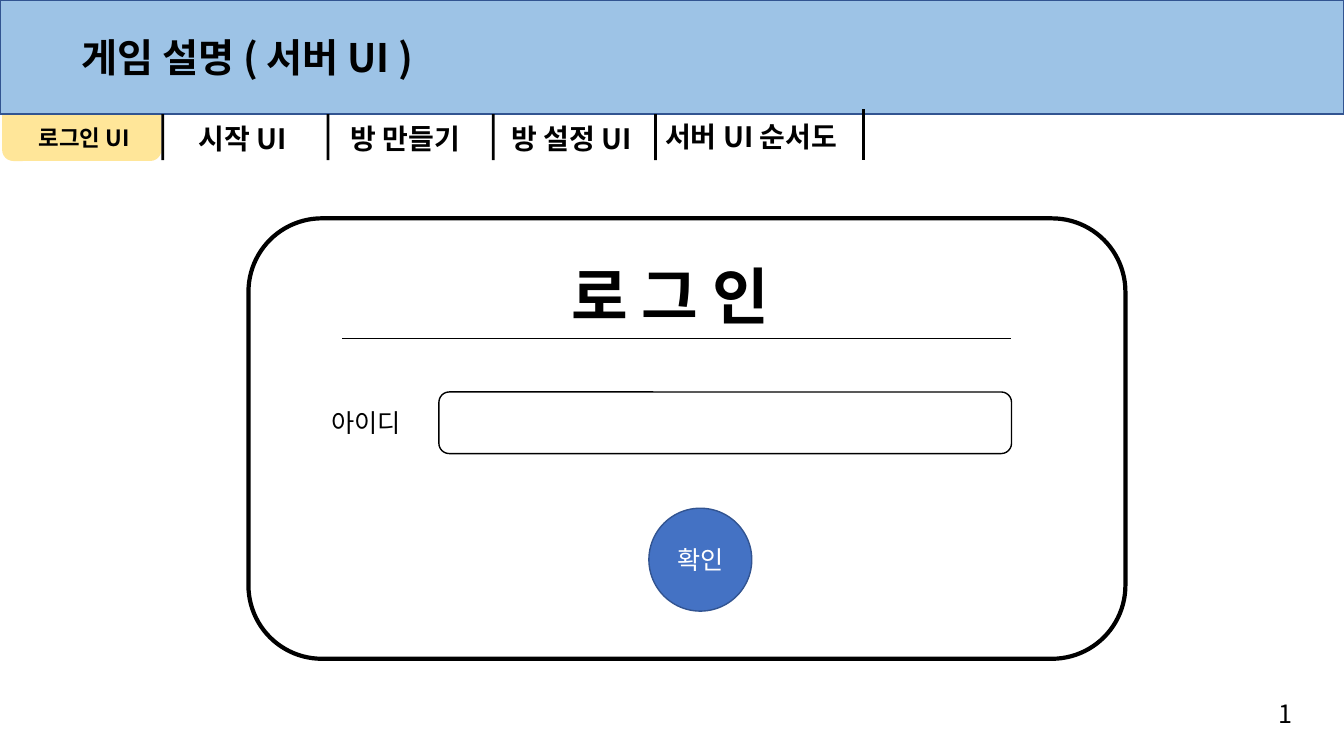
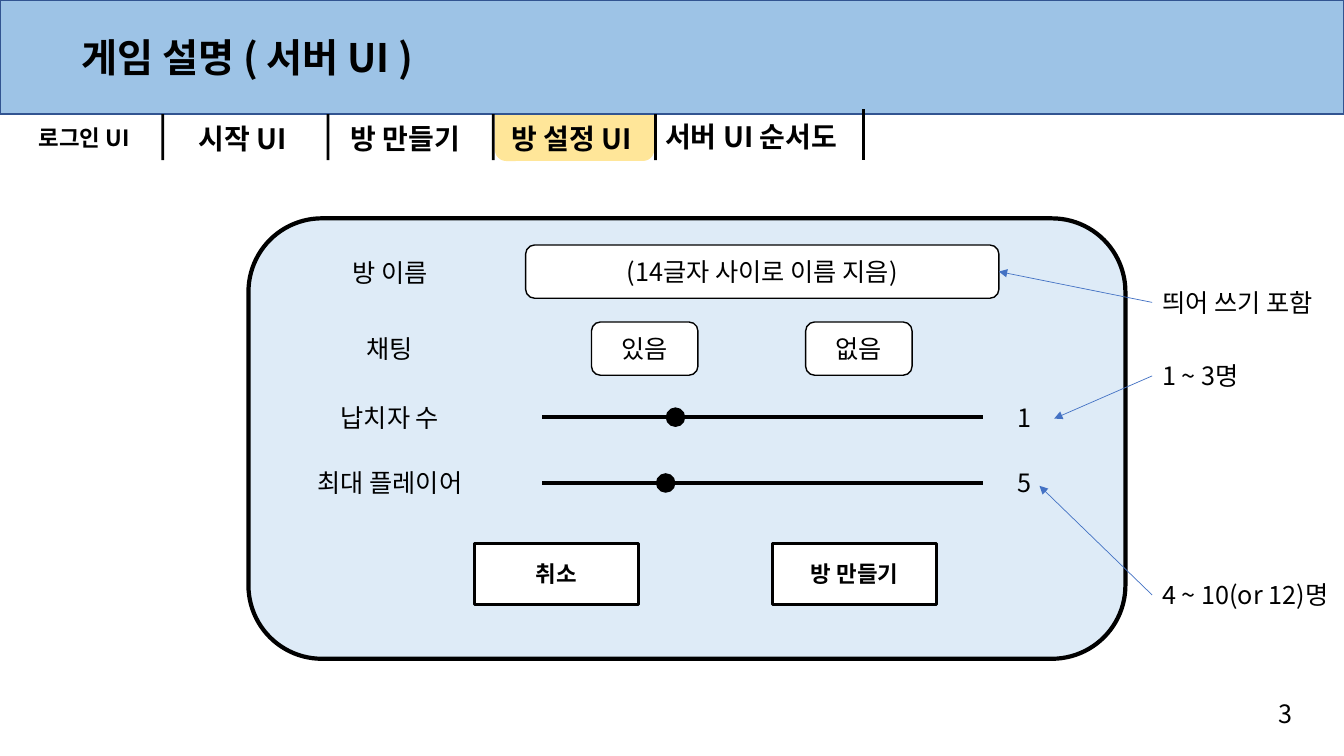
from lxml import etree
from pptx import Presentation
from pptx.dml.color import RGBColor
from pptx.enum import shapes, text
from pptx.oxml.ns import qn
from pptx.util import Pt

FONT = "Noto Sans CJK KR"
BLACK = RGBColor(0x00, 0x00, 0x00)
WHITE = RGBColor(0xFF, 0xFF, 0xFF)
BAND_BLUE = RGBColor(0x9D, 0xC3, 0xE6)
EDGE_BLUE = RGBColor(0x32, 0x54, 0x91)
ACCENT_BLUE = RGBColor(0x44, 0x72, 0xC4)
PALE_BLUE = RGBColor(0xDE, 0xEB, 0xF7)
TAB_YELLOW = RGBColor(0xFF, 0xE6, 0x99)

RECT = shapes.MSO_SHAPE.RECTANGLE
ROUNDED = shapes.MSO_SHAPE.ROUNDED_RECTANGLE
OVAL = shapes.MSO_SHAPE.OVAL
CENTER = text.PP_ALIGN.CENTER
LEFT = text.PP_ALIGN.LEFT

SLIDE_W, SLIDE_H = 960, 540
BAND_H = 81.5
PANEL = (177.5, 156, 626.4, 314.6)
LINE_H = 29
TITLE = "게임 설명 ( 서버 UI )"
# label, left, top, width, size, alignment
TABS = [
    ("로그인 UI", 11, 85, 98.5, 16, CENTER),
    ("시작 UI", 134.5, 83.5, 90, 20, LEFT),
    ("방 만들기", 243.5, 83.5, 131, 20, LEFT),
    ("방 설정 UI", 358.5, 83.5, 112, 20, LEFT),
    ("서버 UI 순서도", 468, 82, 160, 20, LEFT),
]
TAB_STARTS = [1.5, 117.5, 235.5, 353.5]
DIVIDERS = [115.2, 233.3, 351.4, 467.3]
LAST_DIVIDER = 617


def write(frame, words, size, color=BLACK, bold=False, align=LEFT):
    frame.word_wrap = True
    paragraph = frame.paragraphs[0]
    paragraph.text = words
    paragraph.alignment = align
    font = paragraph.font
    font.size, font.bold, font.name = Pt(size), bold, FONT
    font.color.rgb = color
    properties = paragraph._p.pPr.find(qn("a:defRPr"))
    etree.SubElement(properties, qn("a:ea")).set("typeface", FONT)


def add_label(slide, words, x, y, w, h=LINE_H, size=18, bold=False, align=LEFT):
    label = slide.shapes.add_textbox(Pt(x), Pt(y), Pt(w), Pt(h))
    write(label.text_frame, words, size, bold=bold, align=align)
    return label


def add_block(slide, kind, x, y, w, h, fill, edge=None, weight=1,
              words=None, size=18, color=BLACK, bold=False):
    block = slide.shapes.add_shape(kind, Pt(x), Pt(y), Pt(w), Pt(h))
    block.shadow.inherit = False
    block.fill.solid()
    block.fill.fore_color.rgb = fill
    if edge is None:
        block.line.fill.background()
    else:
        block.line.color.rgb = edge
        block.line.width = Pt(weight)
    if words:
        block.text_frame.vertical_anchor = text.MSO_ANCHOR.MIDDLE
        write(block.text_frame, words, size, color, bold, CENTER)
    return block


def add_line(slide, x1, y1, x2, y2, weight, color=BLACK, arrow=False):
    line = slide.shapes.add_connector(
        shapes.MSO_CONNECTOR.STRAIGHT, Pt(x1), Pt(y1), Pt(x2), Pt(y2))
    line.line.color.rgb = color
    line.line.width = Pt(weight)
    if arrow:
        etree.SubElement(line.line._get_or_add_ln(), qn("a:tailEnd")).set("type", "triangle")
    etree.SubElement(line._element.spPr, qn("a:effectLst"))
    return line


def add_frame(slide, active_tab, page):
    """Title band, tab bar with one tab lit, and page number."""
    add_block(slide, ROUNDED, TAB_STARTS[active_tab], 67, 113.8, 48, TAB_YELLOW)
    add_block(slide, RECT, 0, 0, SLIDE_W, BAND_H, BAND_BLUE, EDGE_BLUE)
    add_label(slide, TITLE, 51, 20, 333, 41, size=28, bold=True)
    for x in DIVIDERS:
        add_block(slide, RECT, x, BAND_H, 2, 33, BLACK)
    add_line(slide, LAST_DIVIDER, 78, LAST_DIVIDER, 114, 2.25)
    for words, x, y, w, size, align in TABS:
        add_label(slide, words, x, y, w, 32, size, True, align)
    add_label(slide, page, 906.5, 495.5, 24.5)


def add_panel(slide, box, fill):
    add_block(slide, ROUNDED, *box, fill, BLACK, 3)


def add_login(slide, box):
    left, top = box[:2]
    add_panel(slide, box, WHITE)
    add_label(slide, "로 그 인", left + 223.5, top + 25, 180, 60, size=44, bold=True)
    add_line(slide, left + 67, top + 85.5, left + 545, top + 85.5, 0.5)
    add_label(slide, "아이디", left + 52, top + 131.5, 70)
    add_block(slide, ROUNDED, left + 136, top + 124, 409, 44, WHITE, BLACK)
    add_block(slide, OVAL, left + 286, top + 207, 73.5, 73.5, ACCENT_BLUE, EDGE_BLUE,
              words="확인", color=WHITE)


def add_slider(slide, left, middle, knob, value):
    """Track with its knob centred at the given offset, and the value beside it."""
    diameter, track = 14, 315
    add_line(slide, left, middle, left + track, middle, 3)
    add_block(slide, OVAL, left + knob - diameter / 2, middle - diameter / 2,
              diameter, diameter, BLACK)
    add_label(slide, value, left + track + 17, middle - LINE_H / 2, 24.5)


def add_room_settings(slide, box):
    left, top = box[:2]
    add_panel(slide, box, PALE_BLUE)
    name_y, chat_y, kidnapper_y, player_y = (top + dy for dy in (39, 93, 142, 189))
    for words, middle in (("방 이름", name_y), ("채팅", chat_y),
                          ("납치자 수", kidnapper_y), ("최대 플레이어", player_y)):
        add_label(slide, words, left + 36, middle - LINE_H / 2, 130, align=CENTER)

    field_h = 38
    name_field = add_block(slide, ROUNDED, left + 198, name_y - 1 - field_h / 2, 338, field_h,
                           WHITE, BLACK, words="(14글자 사이로 이름 지음)")
    for words, dx in (("있음", 245), ("없음", 398)):
        add_block(slide, ROUNDED, left + dx, chat_y - field_h / 2, 76, field_h,
                  WHITE, BLACK, words=words)
    add_slider(slide, left + 210, kidnapper_y, 95, "1")
    add_slider(slide, left + 210, player_y, 88, "5")
    for words, dx in (("취소", 161.5), ("방 만들기", 374.5)):
        add_block(slide, RECT, left + dx, top + 232, 117, 44, WHITE, BLACK, 2.25,
                  words=words, size=16, bold=True)

    note_x = left + 645.5
    notes = (("띄어 쓰기 포함", 60, 536, 38),
             ("1 ~ 3명", 112.5, 575.5, 143),
             ("4 ~ 10(or 12)명", 269, 565, 191))
    arrows = []
    for words, dy, end_dx, end_dy in notes:
        note = add_label(slide, words, note_x, top + dy - LINE_H / 2, 143)
        arrow = add_line(slide, note_x, top + dy, left + end_dx, top + end_dy,
                         0.5, ACCENT_BLUE, arrow=True)
        arrow.begin_connect(note, 1)
        arrows.append(arrow)
    arrows[0].end_connect(name_field, 3)


def main():
    deck = Presentation()
    deck.slide_width, deck.slide_height = Pt(SLIDE_W), Pt(SLIDE_H)
    blank = deck.slide_layouts[6]
    for active_tab, page, add_content in ((0, "1", add_login), (3, "3", add_room_settings)):
        slide = deck.slides.add_slide(blank)
        add_frame(slide, active_tab, page)
        add_content(slide, PANEL)
    deck.save("out.pptx")


if __name__ == "__main__":
    main()
